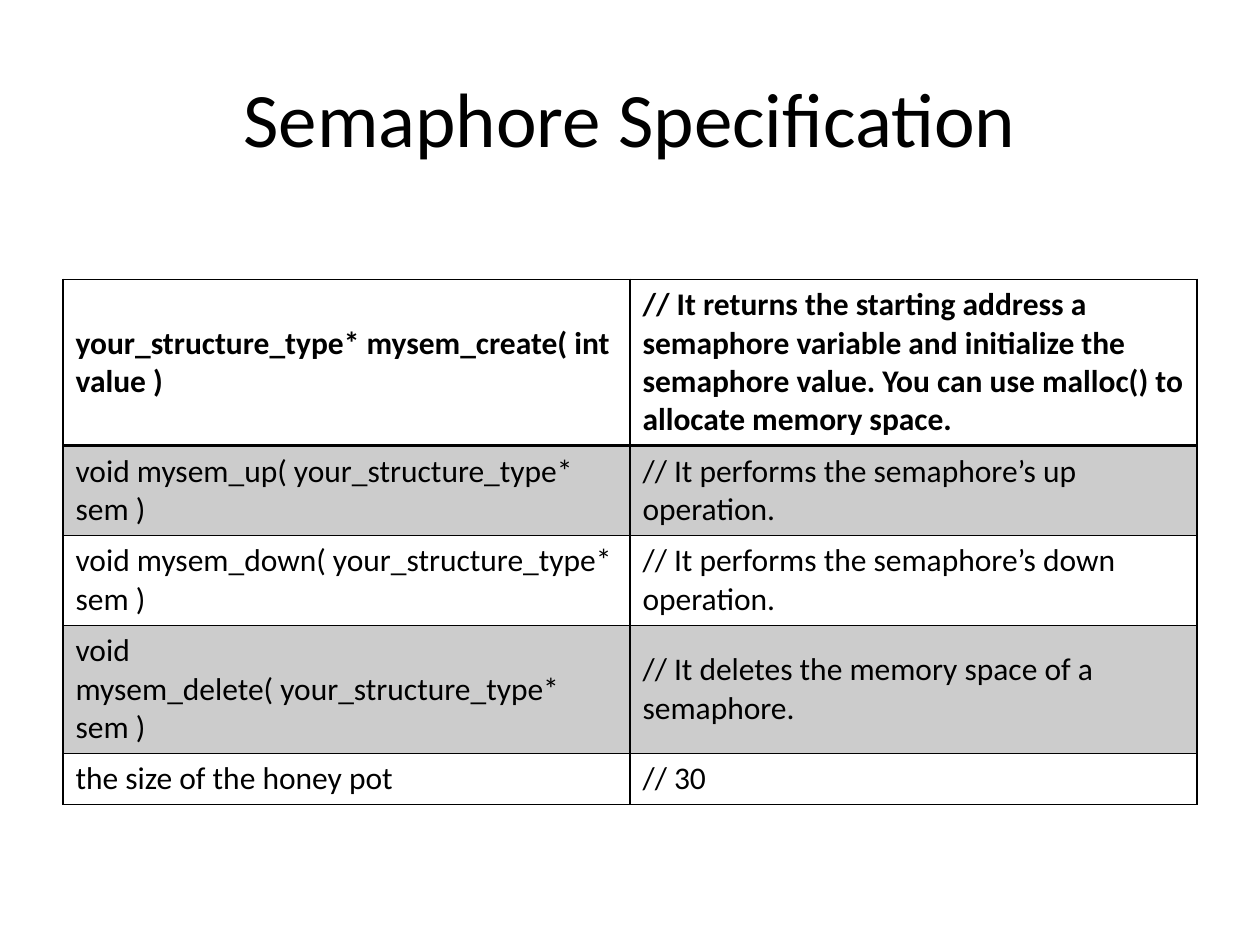
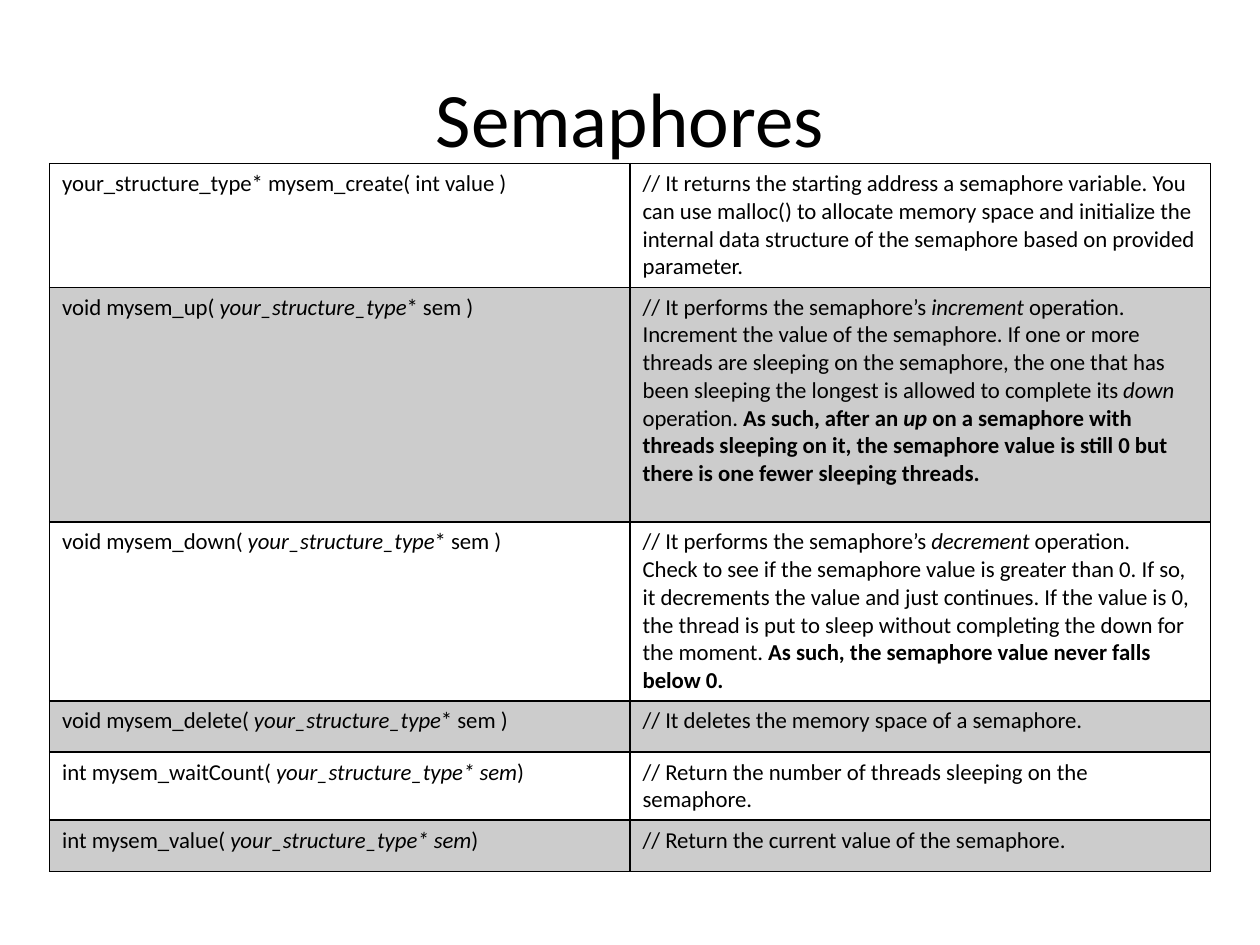
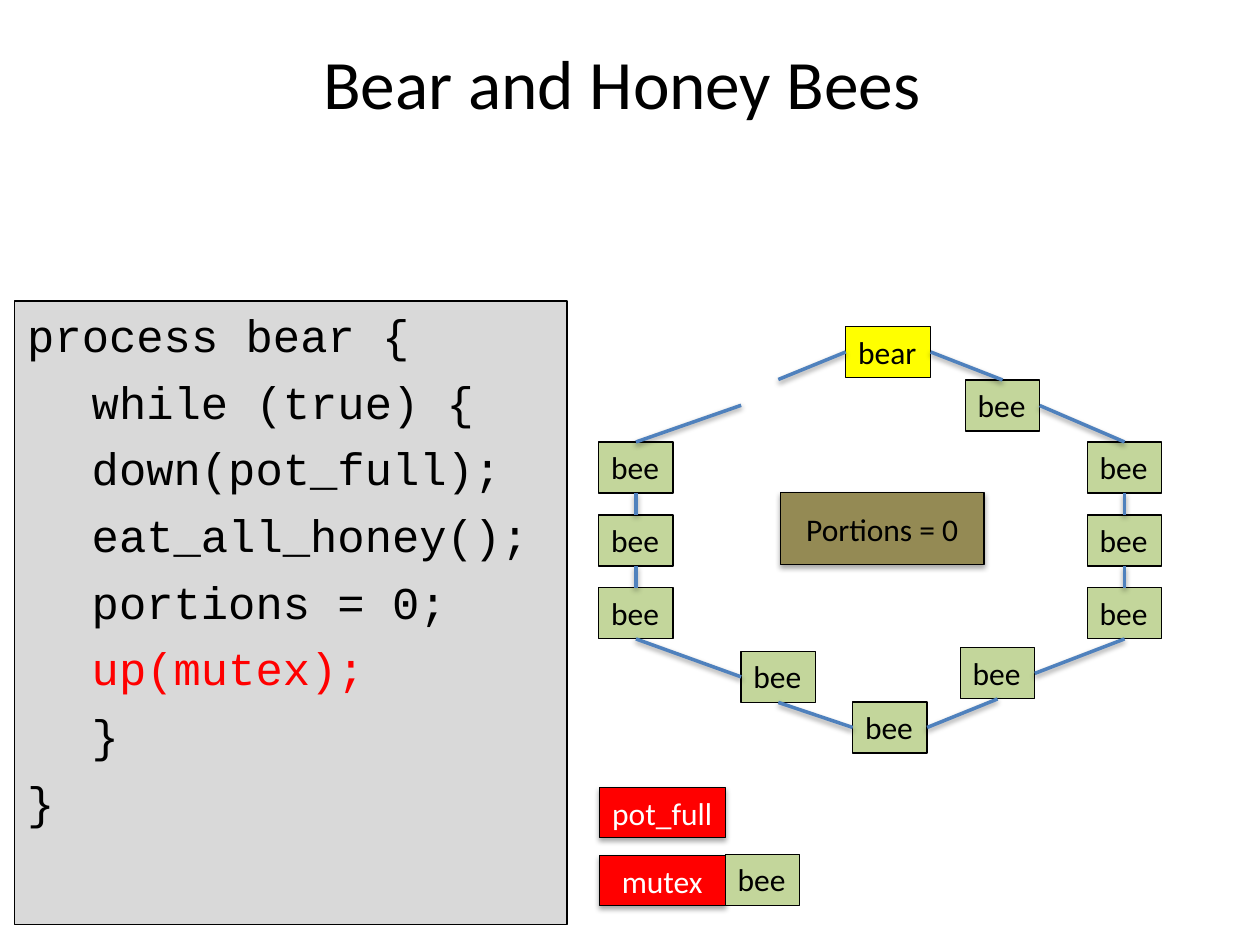
from dataclasses import dataclass

from pptx import Presentation
from pptx.dml.color import RGBColor
from pptx.enum.shapes import MSO_CONNECTOR, MSO_SHAPE
from pptx.enum.text import MSO_ANCHOR, MSO_AUTO_SIZE, PP_ALIGN
from pptx.oxml.ns import qn
from pptx.oxml.xmlchemy import OxmlElement
from pptx.util import Cm, Pt

RECTANGLE = MSO_SHAPE.RECTANGLE
STRAIGHT = MSO_CONNECTOR.STRAIGHT
MIDDLE, TOP_ANCHOR = MSO_ANCHOR.MIDDLE, MSO_ANCHOR.TOP
GROW = MSO_AUTO_SIZE.SHAPE_TO_FIT_TEXT
CENTER, START = PP_ALIGN.CENTER, PP_ALIGN.LEFT
TOP, LEFT, BOTTOM, RIGHT = range(4)
TITLE_ONLY = 5


@dataclass(frozen=True)
class Theme:
    ink: str = "000000"
    paper: str = "FFFFFF"
    code_panel: str = "D9D9D9"
    alert: str = "FF0000"
    bear: str = "FFFF00"
    bee: str = "C3D69B"
    pot: str = "948A54"
    link: str = "4F81BD"
    body_font: str = "Calibri"
    code_font: str = "Courier New"
    title_size: float = 44
    long_title_size: float = 39.6
    code_size: float = 26
    label_size: float = 18
    detail_size: float = 13
    outline: float = 0.75
    link_width: float = 2
    band_alpha: int = 20


THEME = Theme()
TITLE_BOX = (1.27, 0.76, 22.86, 3.18)

SPECIFICATION = [
    ("your_structure_type* mysem_create( int value )",
     "// It returns the starting address a semaphore variable and initialize the "
     "semaphore value. You can use malloc() to allocate memory space."),
    ("void mysem_up( your_structure_type* sem )",
     "// It performs the semaphore’s up operation."),
    ("void mysem_down( your_structure_type* sem )",
     "// It performs the semaphore’s down operation."),
    ("void mysem_delete( your_structure_type* sem )",
     "// It deletes the memory space of a semaphore."),
    ("the size of the honey pot", "// 30"),
]


def signature(opening, argument, closing):
    return [[(opening, ""), (argument, "i"), (closing, "")]]


def performs(operation):
    return [("// It performs the semaphore’s ", ""), (operation, "i"), (" operation.", "")]


SEMAPHORES = [
    ("your_structure_type* mysem_create( int value )",
     "// It returns the starting address a semaphore variable. You can use malloc() to "
     "allocate memory space and initialize the internal data structure of the semaphore "
     "based on provided parameter."),
    (signature("void mysem_up( ", "your_structure_type", "* sem )"),
     [performs("increment"),
      [("Increment the value of the semaphore. If one or more threads are sleeping on the "
        "semaphore, the one that has been sleeping the longest is allowed to complete its ", ""),
       ("down", "i"), (" operation. ", ""), ("As such, after an ", "b"), ("up", "bi"),
       (" on a semaphore with threads sleeping on it, the semaphore value is still 0 but "
        "there is one fewer sleeping threads.", "b")]]),
    (signature("void mysem_down( ", "your_structure_type", "* sem )"),
     [performs("decrement"),
      [("Check to see if the semaphore value is greater than 0. If so, it decrements the "
        "value and just continues. If the value is 0, the thread is put to sleep without "
        "completing the down for the moment. ", ""),
       ("As such, the semaphore value never falls below 0.", "b")]]),
    (signature("void mysem_delete( ", "your_structure_type", "* sem )"),
     "// It deletes the memory space of a semaphore."),
    (signature("int mysem_waitCount( ", "your_structure_type* sem", ")"),
     "// Return the number of threads sleeping on the semaphore."),
    (signature("int mysem_value( ", "your_structure_type* sem", ")"),
     "// Return the current value of the semaphore."),
]

BEAR_CODE = [
    ("process bear {", 0, THEME.ink),
    ("while (true) {", 1, THEME.ink),
    ("down(pot_full);", 1, THEME.ink),
    ("eat_all_honey();", 1, THEME.ink),
    ("portions = 0;", 1, THEME.ink),
    ("up(mutex);", 1, THEME.alert),
    ("}", 1, THEME.ink),
    ("}", 0, THEME.ink),
]

BEE_SIZE = (1.5, 1.03)
BEAR_SIZE = (1.71, 1.03)
COLUMN_TOP, COLUMN_STEP, RIGHT_COLUMN = 2.33, 1.47, 9.85
COLUMN_TOPS = [COLUMN_TOP + row * COLUMN_STEP for row in range(3)]
RING = [
    ("bear", 4.98, 0, LEFT, RIGHT),
    ("bee", 7.39, 1.08, TOP, RIGHT),
    *[("bee", RIGHT_COLUMN, top, TOP, BOTTOM) for top in COLUMN_TOPS],
    ("bee", 7.29, 6.48, RIGHT, BOTTOM),
    ("bee", 5.12, 7.57, RIGHT, LEFT),
    ("bee", 2.87, 6.55, BOTTOM, LEFT),
    *[("bee", 0, top, BOTTOM, TOP) for top in reversed(COLUMN_TOPS)],
    ("away", 2.87, 1.07, LEFT, TOP),
]


def rgb(code):
    return RGBColor.from_string(code)


def apply(target, values):
    for name, value in values.items():
        setattr(target, name, value)


def lengths(box):
    return [Cm(round(value, 2)) for value in box]


def sub(parent, tag, **attributes):
    child = OxmlElement(tag)
    for name, value in attributes.items():
        child.set(name, str(value))
    parent.append(child)
    return child


def write(paragraph, text, size, color=THEME.ink, font=THEME.body_font, style=""):
    run = paragraph.add_run()
    run.text = text
    apply(run.font, {"name": font, "size": Pt(size), "bold": "b" in style, "italic": "i" in style})
    run.font.color.rgb = rgb(color)


def add_shadow(part, distance, opacity):
    effects = part.element.spPr.find(qn("a:effectLst"))
    if effects is None:
        effects = sub(part.element.spPr, "a:effectLst")
    shadow = sub(effects, "a:outerShdw", blurRad=Pt(3.1), dist=Pt(distance),
                 dir=90 * 60000, rotWithShape=0)
    sub(sub(shadow, "a:srgbClr", val=THEME.ink), "a:alpha", val=opacity * 1000)


def add_panel(slide, box, fill):
    panel = slide.shapes.add_shape(RECTANGLE, *lengths(box))
    panel.shadow.inherit = False
    panel.fill.solid()
    panel.fill.fore_color.rgb = rgb(fill)
    panel.line.color.rgb = rgb(THEME.ink)
    panel.line.width = Pt(THEME.outline)
    return panel


def add_animal(slide, kind, left, top):
    size, fill = {"bear": (BEAR_SIZE, THEME.bear), "bee": (BEE_SIZE, THEME.bee)}[kind]
    animal = add_panel(slide, (left, top, *size), fill)
    apply(animal.text_frame,
          {"word_wrap": False, "auto_size": GROW, "vertical_anchor": TOP_ANCHOR})
    label = animal.text_frame.paragraphs[0]
    label.alignment = START
    write(label, kind, THEME.label_size)
    return animal


def add_state(slide, box, text, fill, color):
    state = add_panel(slide, box, fill)
    add_shadow(state, 1.8, 35)
    apply(state.text_frame, {"word_wrap": False, "vertical_anchor": MIDDLE})
    label = state.text_frame.paragraphs[0]
    label.alignment = CENTER
    write(label, text, THEME.label_size, color)


def add_titled_slide(deck, text, size=THEME.title_size, anchor=MIDDLE):
    slide = deck.slides.add_slide(deck.slide_layouts[TITLE_ONLY])
    title = slide.shapes.title
    apply(title, dict(zip(("left", "top", "width", "height"), lengths(TITLE_BOX))))
    apply(title.text_frame, {"vertical_anchor": anchor, "margin_top": Cm(0.05),
                             "margin_bottom": Cm(0.05), "word_wrap": True})
    heading = title.text_frame.paragraphs[0]
    heading.alignment = CENTER
    write(heading, text, size)
    return slide


def format_cell(cell, banded, edges):
    properties = cell._tc.get_or_add_tcPr()
    for edge in ("L", "R", "T", "B"):
        border = sub(properties, f"a:ln{edge}", w=Pt(edges.get(edge, 1)))
        sub(sub(border, "a:solidFill"), "a:srgbClr", val=THEME.ink)
    if banded:
        cell.fill.solid()
        cell.fill.fore_color.rgb = rgb(THEME.ink)
        color = properties.find(qn("a:solidFill")).find(qn("a:srgbClr"))
        sub(color, "a:alpha", val=THEME.band_alpha * 1000)
    else:
        cell.fill.background()


def add_function_table(slide, box, rows, heights, size, anchor, header=False):
    left, top, width = box
    frame = slide.shapes.add_table(len(rows), 2, *lengths((left, top, width, sum(heights))))
    table = frame.table
    apply(table, {"first_row": header, "horz_banding": False})
    for column in table.columns:
        column.width = Cm(width / 2)
    for row_index, (entries, height) in enumerate(zip(rows, heights)):
        table.rows[row_index].height = Cm(height)
        is_header = header and row_index == 0
        edges = {"B": 2} if is_header else {"T": 2} if header and row_index == 1 else {}
        for cell, entry in zip(table.rows[row_index].cells, entries):
            format_cell(cell, row_index % 2 == 1, edges)
            cell.vertical_anchor = anchor
            if isinstance(entry, str):
                entry = [[(entry, "b" if is_header else "")]]
            for index, runs in enumerate(entry):
                frame_text = cell.text_frame
                paragraph = frame_text.add_paragraph() if index else frame_text.paragraphs[0]
                for text, style in runs:
                    write(paragraph, text, size, style=style)


def add_code(slide, box):
    panel = add_panel(slide, box, THEME.code_panel)
    apply(panel.text_frame, {"word_wrap": True, "vertical_anchor": TOP_ANCHOR})
    for index, (text, depth, color) in enumerate(BEAR_CODE):
        line = panel.text_frame.add_paragraph() if index else panel.text_frame.paragraphs[0]
        apply(line, {"alignment": START, "space_before": Pt(6.9)})
        line._p.get_or_add_pPr().set("marL", str(Cm(1.3 * depth)))
        write(line, text, THEME.code_size, color, THEME.code_font)


def side_point(kind, left, top, side):
    width, height = BEAR_SIZE if kind == "bear" else BEE_SIZE
    across, down = {TOP: (0.5, 0), LEFT: (0, 0.5), BOTTOM: (0.5, 1), RIGHT: (1, 0.5)}[side]
    return lengths((left + across * width, top + down * height))


def add_ring(slide, left, top):
    places = [(kind, left + x, top + y, entry, leave) for kind, x, y, entry, leave in RING]
    animals = [None if kind == "away" else add_animal(slide, kind, x, y)
               for kind, x, y, *_ in places]
    for index, (kind, x, y, _, leave) in enumerate(places):
        following = (index + 1) % len(places)
        next_kind, next_x, next_y, entry, _ = places[following]
        link = slide.shapes.add_connector(STRAIGHT, *side_point(kind, x, y, leave),
                                          *side_point(next_kind, next_x, next_y, entry))
        if animals[index]:
            link.begin_connect(animals[index], leave)
        if animals[following]:
            link.end_connect(animals[following], entry)
        link.line.color.rgb = rgb(THEME.link)
        link.line.width = Pt(THEME.link_width)
        add_shadow(link, 1.6, 38)
    add_state(slide, (left + 3.66, top + 3.35, 4.11, 1.45), "Portions = 0", THEME.pot, THEME.ink)


def add_semaphore_queues(slide, left, top):
    width, height, step = 2.54, 1, 1.37
    for index, name in enumerate(("pot_full", "mutex")):
        add_state(slide, (left, top + index * step, width, height), name,
                  THEME.alert, THEME.paper)
    add_animal(slide, "bee", left + width, top + step - 0.03)


def build_specification(deck):
    slide = add_titled_slide(deck, "Semaphore Specification")
    add_function_table(slide, (1.27, 5.63, 22.86), SPECIFICATION,
                       (3.35, 1.81, 1.81, 2.58, 1.03), THEME.label_size, MIDDLE, header=True)


def build_semaphores(deck):
    slide = add_titled_slide(deck, "Semaphores")
    add_function_table(slide, (1, 3.3, 23.4), SEMAPHORES,
                       (2.49, 4.73, 3.61, 1.03, 1.37, 1.03), THEME.detail_size, TOP_ANCHOR)


def build_bear_and_bees(deck):
    slide = add_titled_slide(deck, "Bear and Honey Bees ", THEME.long_title_size, TOP_ANCHOR)
    add_code(slide, (0.3, 6.07, 11.13, 12.57))
    add_ring(slide, 12.07, 6.58)
    add_semaphore_queues(slide, 12.08, 15.88)


def main():
    deck = Presentation()
    apply(deck, {"slide_width": Cm(25.4), "slide_height": Cm(19.05)})
    for build in (build_specification, build_semaphores, build_bear_and_bees):
        build(deck)
    deck.save("out.pptx")


if __name__ == "__main__":
    main()
